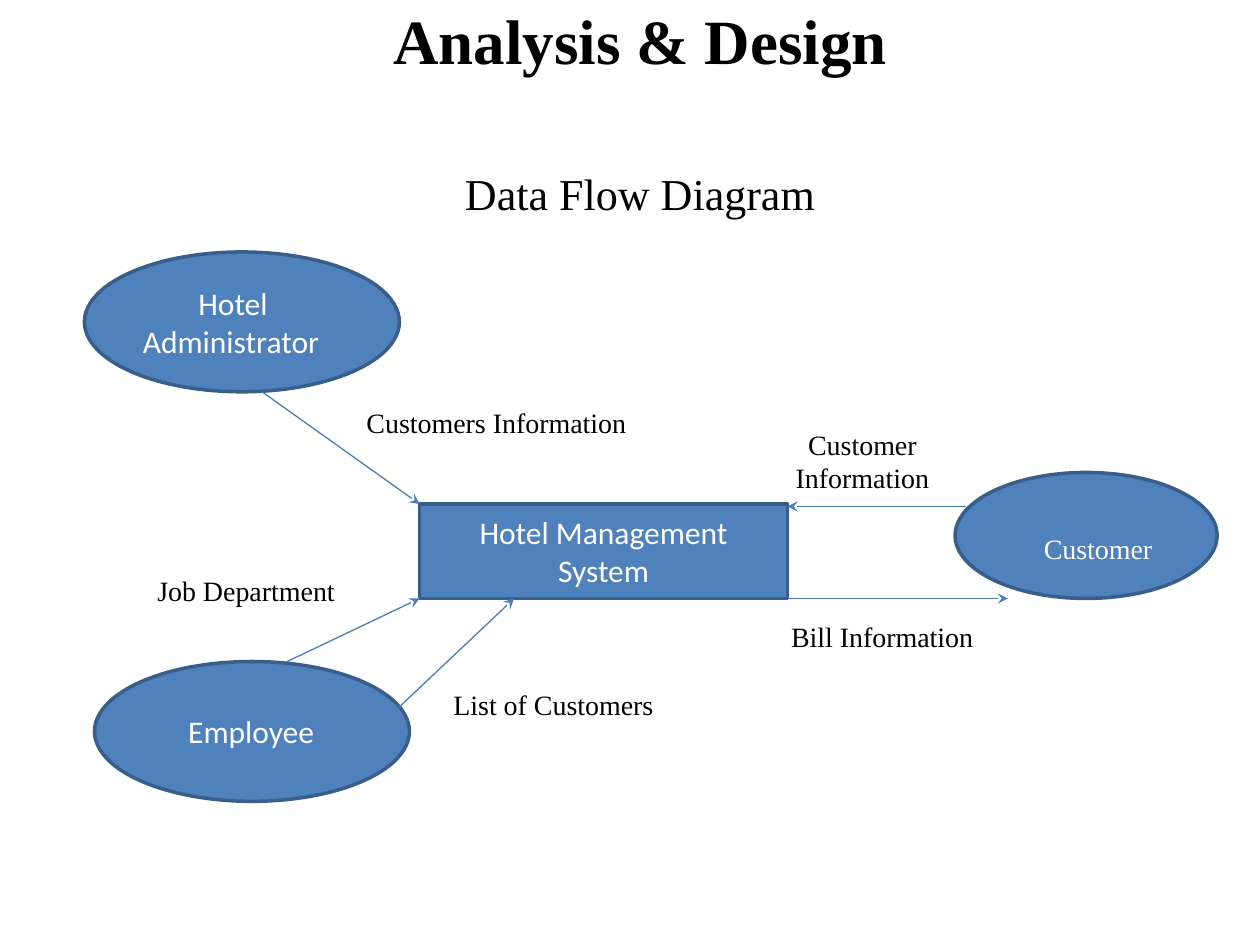
import pptx
import pptx.dml.color
import pptx.enum.shapes
import pptx.enum.text
import pptx.oxml
import pptx.oxml.ns
import pptx.util
from dataclasses import dataclass

Inches, Pt = pptx.util.Inches, pptx.util.Pt
RGB = pptx.dml.color.RGBColor.from_string
SHAPE = pptx.enum.shapes.MSO_SHAPE
ALIGN = pptx.enum.text.PP_ALIGN
ANCHOR = pptx.enum.text.MSO_ANCHOR
AUTO = pptx.enum.text.MSO_AUTO_SIZE


@dataclass(frozen=True)
class Theme:
    """Colours, fonts and sizes of the slide."""
    ink: str = "000000"
    paper: str = "FFFFFF"
    node: str = "4F81BD"
    edge: str = "395E89"
    flow: str = "4A7DBA"
    serif: str = "Times New Roman"
    sans: str = "Calibri"
    title: float = 36
    subtitle: float = 25.2
    node_text: float = 18
    label: float = 16
    edge_width: float = 2
    flow_width: float = 0.75


@dataclass(frozen=True)
class Box:
    """A region of the slide in inches."""
    x: float
    y: float
    w: float
    h: float

    def inner(self, x, y, w, h):
        """Return a box placed relative to this one."""
        return Box(self.x + x, self.y + y, w, h)

    def lengths(self):
        """Return the four lengths as python-pptx expects them."""
        return [Inches(v) for v in (self.x, self.y, self.w, self.h)]


T = Theme()


def apply(obj, fmt):
    """Set each attribute named in a dict."""
    for name, value in fmt.items():
        setattr(obj, name, value)


def move(sp, box):
    """Place a shape in a box."""
    apply(sp, dict(zip(("left", "top", "width", "height"), box.lengths())))


def write(sp, lines, font, size, color, align, frame=None, bold=False):
    """Fill a shape with one paragraph per line."""
    tf = sp.text_frame
    apply(tf, {"word_wrap": True, "auto_size": AUTO.NONE, **(frame or {})})
    tf.text = "\n".join(lines)
    for p in tf.paragraphs:
        apply(p, {"alignment": align, "space_before": Pt(0)})
        for r in p.runs:
            apply(r.font, {"name": font, "size": Pt(size), "bold": bold})
            r.font.color.rgb = RGB(color)
    return tf


def indent(p, first):
    """Indent the first line of a paragraph and drop its bullet."""
    pPr = p._p.get_or_add_pPr()
    pPr.set("marL", "0")
    pPr.set("indent", str(Inches(first)))
    pPr.insert_element_before(
        pptx.oxml.parse_xml(f'<a:buNone {pptx.oxml.ns.nsdecls("a")}/>'),
        "a:tabLst", "a:defRPr", "a:extLst")


def paint(sp):
    """Give a node its fill and outline."""
    sp.fill.solid()
    sp.fill.fore_color.rgb = RGB(T.node)
    sp.line.color.rgb = RGB(T.edge)
    sp.line.width = Pt(T.edge_width)


def header(s, box):
    """Write the title with its subtitle in the title placeholder."""
    sp = s.shapes.title
    move(sp, box)
    frame = {"vertical_anchor": ANCHOR.MIDDLE, "margin_bottom": Inches(0.62)}
    tf = write(sp, ["Analysis & Design", "Data Flow Diagram"], T.serif,
               T.title, T.ink, ALIGN.CENTER, frame, True)
    p = tf.paragraphs[1]
    p.space_before = Pt(51)
    apply(p.runs[0].font, {"size": Pt(T.subtitle), "bold": False})


def node(s, box, kind, text, first=None):
    """Draw a process or an entity."""
    sp = s.shapes.add_shape(kind, *box.lengths())
    sp.shadow.inherit = False
    paint(sp)
    align = ALIGN.CENTER if first is None else ALIGN.LEFT
    tf = write(sp, [text], T.sans, T.node_text, T.paper, align,
               {"vertical_anchor": ANCHOR.MIDDLE})
    if first is not None:
        indent(tf.paragraphs[0], first)


def customer(s, box):
    """Shape the body placeholder as the customer entity."""
    sp = s.placeholders[1]
    move(sp, box)
    sp._element.spPr.append(pptx.oxml.parse_xml(
        f'<a:prstGeom {pptx.oxml.ns.nsdecls("a")} prst="ellipse"><a:avLst/></a:prstGeom>'))
    paint(sp)
    tf = write(sp, ["Customer"], T.serif, T.label, T.paper, ALIGN.LEFT,
               {"vertical_anchor": ANCHOR.MIDDLE, "margin_top": Inches(0.25)})
    indent(tf.paragraphs[0], 0.3)


def flow(s, box, start, end):
    """Draw an arrow between two points of a box."""
    points = [Inches(v) for x, y in (start, end) for v in (box.x + x, box.y + y)]
    c = s.shapes.add_connector(pptx.enum.shapes.MSO_CONNECTOR.STRAIGHT, *points)
    c.line.color.rgb = RGB(T.flow)
    c.line.width = Pt(T.flow_width)
    ns = pptx.oxml.ns.nsdecls("a")
    c.line._get_or_add_ln().append(pptx.oxml.parse_xml(f'<a:tailEnd {ns} type="stealth"/>'))
    c._element.spPr.append(pptx.oxml.parse_xml(f"<a:effectLst {ns}/>"))


def label(s, box, lines):
    """Write the name of a flow, centred when it takes two lines."""
    sp = s.shapes.add_textbox(*box.lengths())
    stacked = len(lines) > 1
    write(sp, lines, T.serif, T.label, T.ink,
          ALIGN.CENTER if stacked else ALIGN.LEFT,
          {"margin_top": Inches(0.07 if stacked else 0.05)})


def diagram(s, box):
    """Draw the entities, the system, the flows and their labels."""
    node(s, box.inner(0.17, 0, 2.5, 1.11), SHAPE.OVAL, "Hotel Administrator", 0.44)
    customer(s, box.inner(7.08, 1.75, 2.08, 1))
    node(s, box.inner(0.25, 3.25, 2.5, 1.11), SHAPE.OVAL, "Employee", 0.28)
    node(s, box.inner(2.83, 2, 2.92, 0.75), SHAPE.RECTANGLE, "Hotel Management System")
    for start, end in (
        ((1.58, 1.11), (2.83, 2)),
        ((7.17, 2.02), (5.75, 2.02)),
        ((5.75, 2.75), (7.5, 2.75)),
        ((2.67, 3.61), (3.58, 2.75)),
        ((1.78, 3.25), (2.83, 2.75)),
    ):
        flow(s, box, start, end)
    for place, lines in (
        ((2.31, 1.17, 2.78, 0.37), ["Customers Information"]),
        ((0.65, 2.5, 1.63, 0.37), ["Job Department"]),
        ((3, 3.41, 1.81, 0.37), ["List of Customers"]),
        ((5.68, 1.32, 1.33, 0.67), ["Customer", "Information"]),
        ((5.68, 2.87, 1.67, 0.37), ["Bill Information"]),
    ):
        label(s, box.inner(*place), lines)


def main():
    """Build the slide and save it."""
    prs = pptx.Presentation()
    apply(prs, {"slide_width": Inches(10), "slide_height": Inches(7.5)})
    s = prs.slides.add_slide(prs.slide_layouts[1])
    header(s, Box(0.58, 0.58, 9, 1.17))
    diagram(s, Box(0.5, 2, 9.25, 4.5))
    prs.save("out.pptx")


if __name__ == "__main__":
    main()
